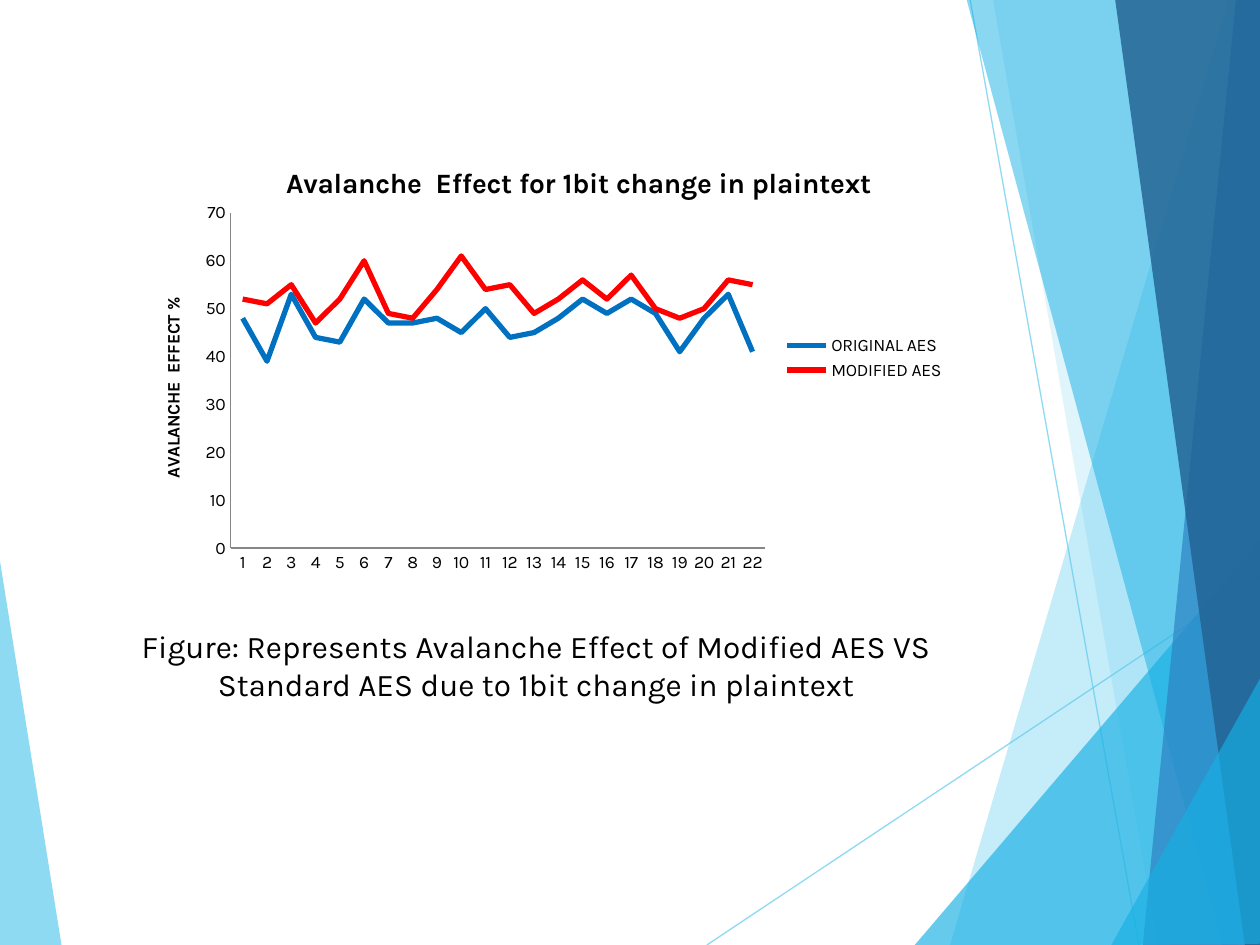
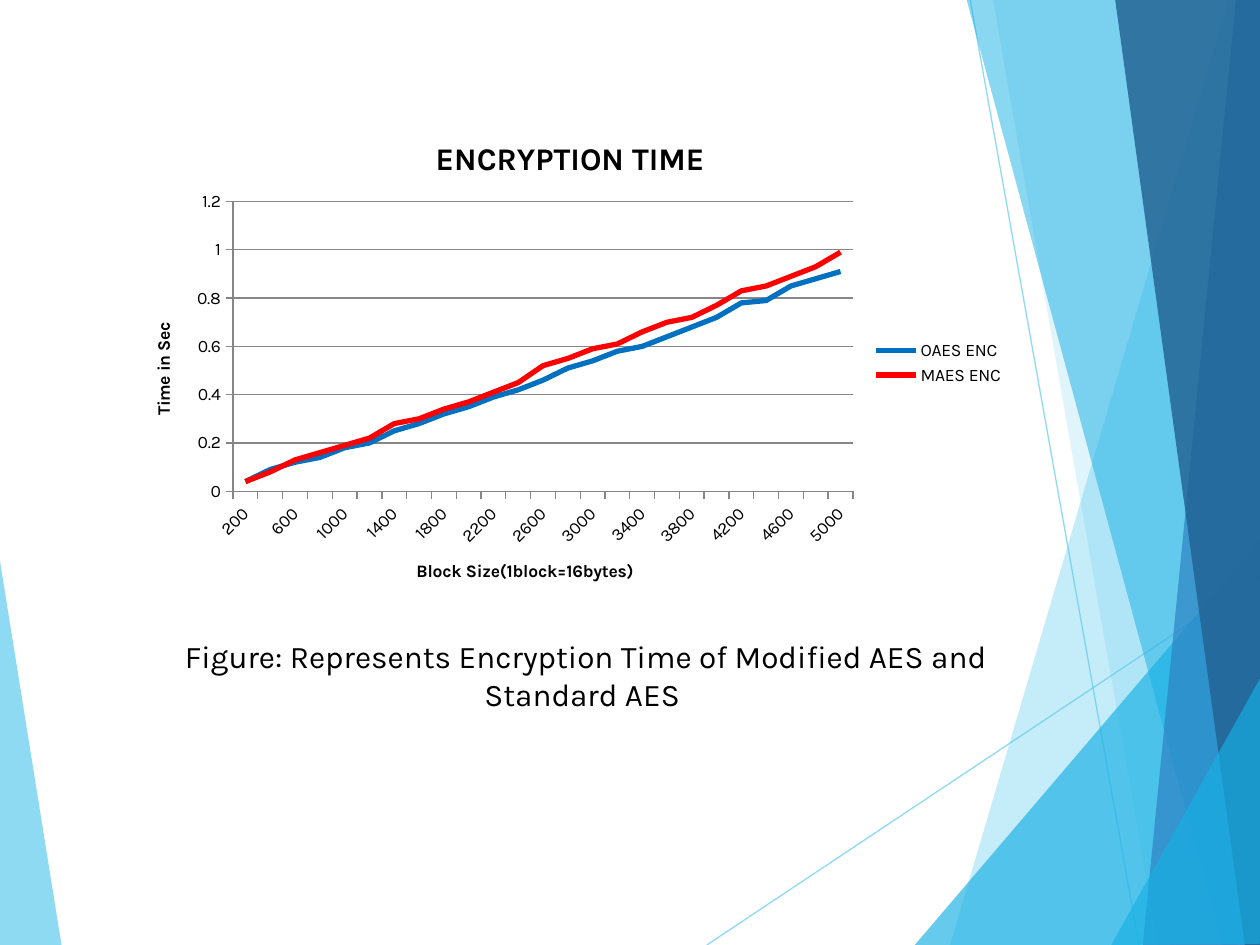
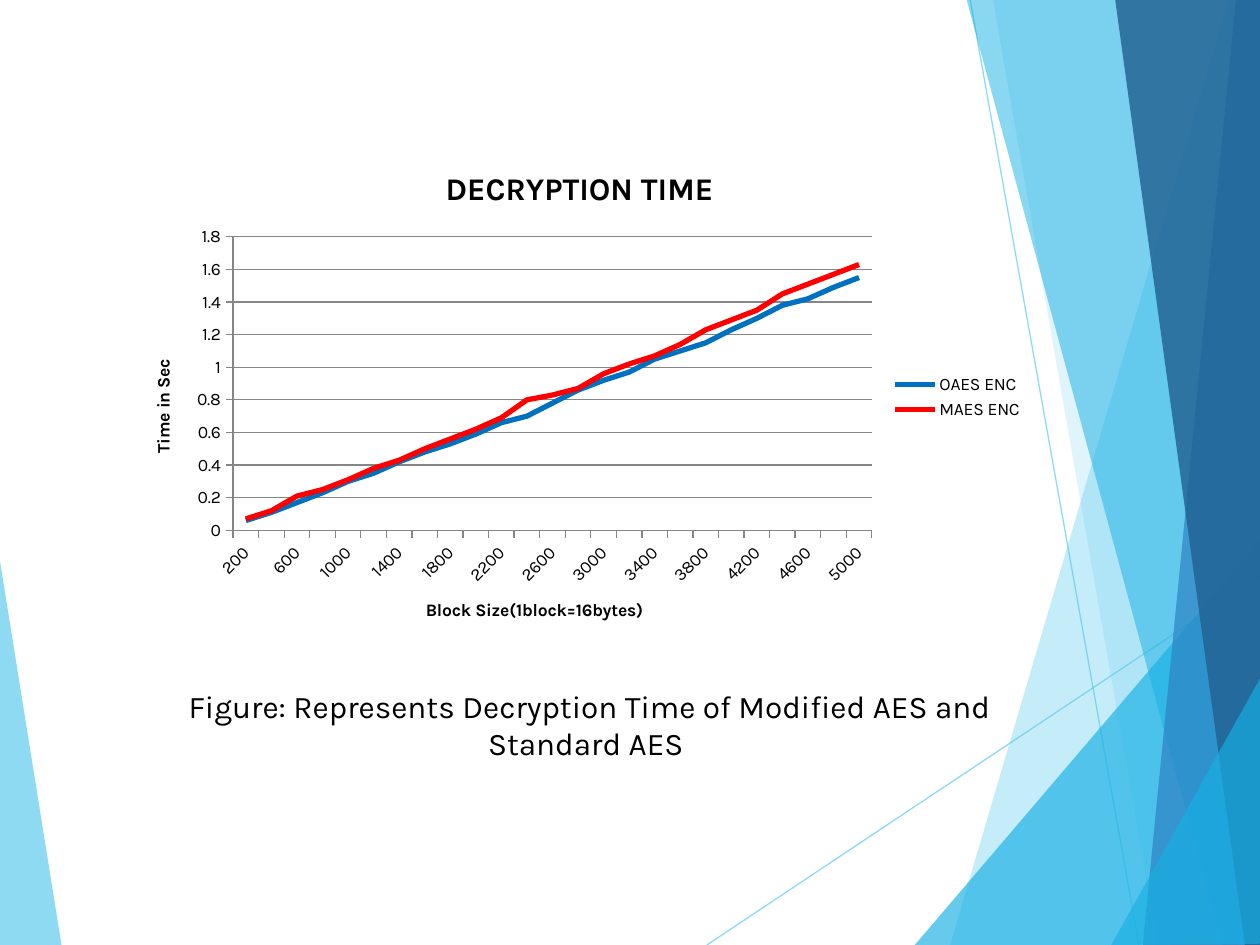
from dataclasses import dataclass

from lxml import etree
from pptx import Presentation
from pptx.chart.data import CategoryChartData
from pptx.dml.color import RGBColor
from pptx.enum.chart import XL_CHART_TYPE, XL_LEGEND_POSITION, XL_TICK_MARK
from pptx.enum.shapes import MSO_CONNECTOR
from pptx.enum.text import MSO_AUTO_SIZE, PP_ALIGN
from pptx.oxml.ns import qn
from pptx.util import Inches, Pt

LINE = XL_CHART_TYPE.LINE
RIGHT = XL_LEGEND_POSITION.RIGHT
OUT = XL_TICK_MARK.OUTSIDE
NONE = XL_TICK_MARK.NONE
STRAIGHT = MSO_CONNECTOR.STRAIGHT
GROW = MSO_AUTO_SIZE.SHAPE_TO_FIT_TEXT
CENTER = PP_ALIGN.CENTER

FONT = "Karla"
COLORS = {
    "sky": "5FCBEF",
    "cyan": "17B0E4",
    "blue": "2E83C3",
    "navy": "226292",
    "base": "0070C0",
    "new": "FF0000",
    "axis": "868686",
    "text": "000000",
}


@dataclass
class Box:
    left: float
    top: float
    width: float
    height: float

    def lengths(self) -> list:
        return [Inches(v) for v in (self.left, self.top, self.width, self.height)]


@dataclass
class Facet:
    color: str
    alpha: int
    points: list


@dataclass
class Ray:
    start: tuple
    end: tuple


@dataclass
class Figure:
    title: str
    size: int
    box: Box
    plot: Box
    x_title: str
    y_title: str
    grid: bool
    cats: list
    series: dict
    caption: str
    text_box: Box
    title_at: tuple = ()


LEFT_FACET = Facet("sky", 70, [(-0.01, 4.39), (0.49, 7.51), (-0.01, 7.5)])
RAYS = [Ray((5.61, 7.5), (10.01, 4.57)), Ray((7.7, 0), (9.04, 7.5))]
FACETS = [
    Facet("sky", 36, [(9.75, 0), (7.54, 7.5), (10.02, 7.51), (10.01, 0.01)]),
    Facet("sky", 20, [(7.88, -0.01), (9.19, 7.5), (10.01, 7.5), (10.01, -0.01)]),
    Facet("cyan", 66, [(7.26, 7.5), (10, 4.29), (10.01, 7.5)]),
    Facet("cyan", 50, [(7.67, -0.01), (9.7, 7.5), (10.01, 7.49), (10.01, -0.01)]),
    Facet("blue", 70, [(9.81, -0.01), (9.07, 7.5), (10.01, 7.5), (10, -0.01)]),
    Facet("navy", 82, [(8.85, -0.01), (9.88, 7.5), (10.02, 7.5), (10, -0.01)]),
    Facet("cyan", 66, [(8.82, 7.5), (10.02, 5.35), (10.02, 7.49)]),
]

BLOCKS = [str(n) for n in range(200, 5001, 200)]
X_TITLE = "Block Size(1block=16bytes)"
Y_TITLE = "Time in Sec"

FIGURES = [
    Figure(
        "Avalanche  Effect for 1bit change in plaintext", 16,
        Box(1.06, 1.07, 6.54, 3.54), Box(1.83, 1.69, 4.24, 2.66),
        "", "AVALANCHE  EFFECT %", False,
        [str(n) for n in range(1, 23)],
        {
            "ORIGINAL AES": [48, 39, 53, 44, 43, 52, 47, 47, 48, 45, 50,
                             44, 45, 48, 52, 49, 52, 49, 41, 48, 53, 41],
            "MODIFIED AES": [52, 51, 55, 47, 52, 60, 49, 48, 54, 61, 54,
                             55, 49, 52, 56, 52, 57, 50, 48, 50, 56, 55],
        },
        "Figure: Represents Avalanche Effect of Modified AES VS "
        "Standard AES due to 1bit change in plaintext",
        Box(0.67, 4.93, 7.17, 0.71), (2.23, 1.27),
    ),
    Figure(
        "ENCRYPTION TIME", 18,
        Box(0.98, 0.92, 7.09, 3.92), Box(1.85, 1.6, 4.92, 2.3),
        X_TITLE, Y_TITLE, True, BLOCKS,
        {
            "OAES ENC": [0.04, 0.09, 0.12, 0.14, 0.18, 0.2, 0.25, 0.28, 0.32,
                         0.35, 0.39, 0.42, 0.46, 0.51, 0.54, 0.58, 0.6, 0.64,
                         0.68, 0.72, 0.78, 0.79, 0.85, 0.88, 0.91],
            "MAES ENC": [0.04, 0.08, 0.13, 0.16, 0.19, 0.22, 0.28, 0.3, 0.34,
                         0.37, 0.41, 0.45, 0.52, 0.55, 0.59, 0.61, 0.66, 0.7,
                         0.72, 0.77, 0.83, 0.85, 0.89, 0.93, 0.99],
        },
        "Figure: Represents Encryption Time of Modified AES and Standard AES ",
        Box(0.91, 5.01, 7.48, 0.71),
    ),
    Figure(
        "DECRYPTION TIME", 18,
        Box(0.98, 1.15, 7.24, 4), Box(1.85, 1.88, 5.07, 2.33),
        X_TITLE, Y_TITLE, True, BLOCKS,
        {
            "OAES ENC": [0.06, 0.11, 0.17, 0.23, 0.3, 0.35, 0.42, 0.48, 0.53,
                         0.59, 0.66, 0.7, 0.78, 0.86, 0.92, 0.97, 1.05, 1.1,
                         1.15, 1.23, 1.3, 1.38, 1.42, 1.49, 1.55],
            "MAES ENC": [0.07, 0.12, 0.21, 0.25, 0.31, 0.38, 0.43, 0.5, 0.56,
                         0.62, 0.69, 0.8, 0.83, 0.87, 0.96, 1.02, 1.07, 1.14,
                         1.23, 1.29, 1.35, 1.45, 1.51, 1.57, 1.63],
        },
        "Figure: Represents Decryption Time of Modified AES and Standard AES ",
        Box(0.98, 5.4, 7.4, 0.71),
    ),
]


def rgb(name: str) -> RGBColor:
    return RGBColor.from_string(COLORS[name])


def fade(shape, alpha: int) -> None:
    color = next(shape._element.spPr.iter(qn("a:srgbClr")))
    etree.SubElement(color, qn("a:alpha"), val=str(alpha * 1000))


def draw_facet(slide, facet: Facet) -> None:
    first, *rest = [(Inches(x), Inches(y)) for x, y in facet.points]
    form = slide.shapes.build_freeform(*first)
    form.add_line_segments(rest, close=True)
    shape = form.convert_to_shape()
    shape.shadow.inherit = False
    shape.fill.solid()
    shape.fill.fore_color.rgb = rgb(facet.color)
    shape.line.fill.background()
    fade(shape, facet.alpha)


def draw_ray(slide, ray: Ray) -> None:
    ends = [Inches(v) for v in ray.start + ray.end]
    line = slide.shapes.add_connector(STRAIGHT, *ends)
    line.line.color.rgb = rgb("sky")
    line.line.width = Pt(0.75)
    fade(line, 70)
    etree.SubElement(line._element.spPr, qn("a:effectLst"))


def draw_frame(slide) -> None:
    draw_facet(slide, LEFT_FACET)
    for ray in RAYS:
        draw_ray(slide, ray)
    for facet in FACETS:
        draw_facet(slide, facet)


def style(font, size: int, bold: bool = False) -> None:
    font.name = FONT
    font.size = Pt(size)
    font.bold = bold
    font.color.rgb = rgb("text")


def write(frame, text: str, size: int, bold: bool = False) -> None:
    para = frame.paragraphs[0]
    para.alignment = CENTER
    run = para.add_run()
    run.text = text
    style(run.font, size, bold)


def place(parent, index: int, **values) -> None:
    for old in parent.findall(qn("c:layout")):
        parent.remove(old)
    layout = etree.Element(qn("c:layout"))
    manual = etree.SubElement(layout, qn("c:manualLayout"))
    for tag, value in values.items():
        etree.SubElement(manual, qn(f"c:{tag}"), val=str(value))
    parent.insert(index, layout)


def style_axis(axis, title: str, tick) -> None:
    axis.major_tick_mark = tick
    axis.minor_tick_mark = NONE
    axis.format.line.color.rgb = rgb("axis")
    axis.format.line.width = Pt(0.75)
    style(axis.tick_labels.font, 10)
    axis.has_title = bool(title)
    if title:
        write(axis.axis_title.text_frame, title, 10, True)


def draw_chart(slide, fig: Figure) -> None:
    data = CategoryChartData()
    data.categories = fig.cats
    for name, values in fig.series.items():
        data.add_series(name, values)
    chart = slide.shapes.add_chart(LINE, *fig.box.lengths(), data).chart
    style(chart.font, 10)
    chart.has_title = True
    write(chart.chart_title.text_frame, fig.title, fig.size, True)
    chart.has_legend = True
    chart.legend.position = RIGHT
    chart.legend.include_in_layout = False
    style(chart.legend.font, 10)

    tick = OUT if fig.grid else NONE
    style_axis(chart.category_axis, fig.x_title, tick)
    style_axis(chart.value_axis, fig.y_title, tick)
    chart.value_axis.has_major_gridlines = fig.grid
    if fig.grid:
        grid = chart.value_axis.major_gridlines.format.line
        grid.color.rgb = rgb("axis")
        grid.width = Pt(0.75)

    chart.plots[0].vary_by_categories = False
    for item, color in zip(chart.plots[0].series, ("base", "new")):
        item.smooth = False
        item.format.line.color.rgb = rgb(color)
        item.format.line.width = Pt(3)

    box, plot = fig.box, fig.plot
    area = chart._chartSpace.chart.plotArea
    place(area, 0, layoutTarget="inner", xMode="edge", yMode="edge",
          x=(plot.left - box.left) / box.width,
          y=(plot.top - box.top) / box.height,
          w=plot.width / box.width, h=plot.height / box.height)
    if fig.title_at:
        left, top = fig.title_at
        place(chart.chart_title._element, 1, xMode="edge", yMode="edge",
              x=(left - box.left) / box.width, y=(top - box.top) / box.height)


def draw_caption(slide, fig: Figure) -> None:
    frame = slide.shapes.add_textbox(*fig.text_box.lengths()).text_frame
    frame.word_wrap = True
    frame.auto_size = GROW
    write(frame, fig.caption, 18)


def main() -> None:
    deck = Presentation()
    deck.slide_width = Inches(10)
    deck.slide_height = Inches(7.5)
    for fig in FIGURES:
        slide = deck.slides.add_slide(deck.slide_layouts[6])
        draw_frame(slide)
        draw_chart(slide, fig)
        draw_caption(slide, fig)
    deck.save("out.pptx")


if __name__ == "__main__":
    main()
